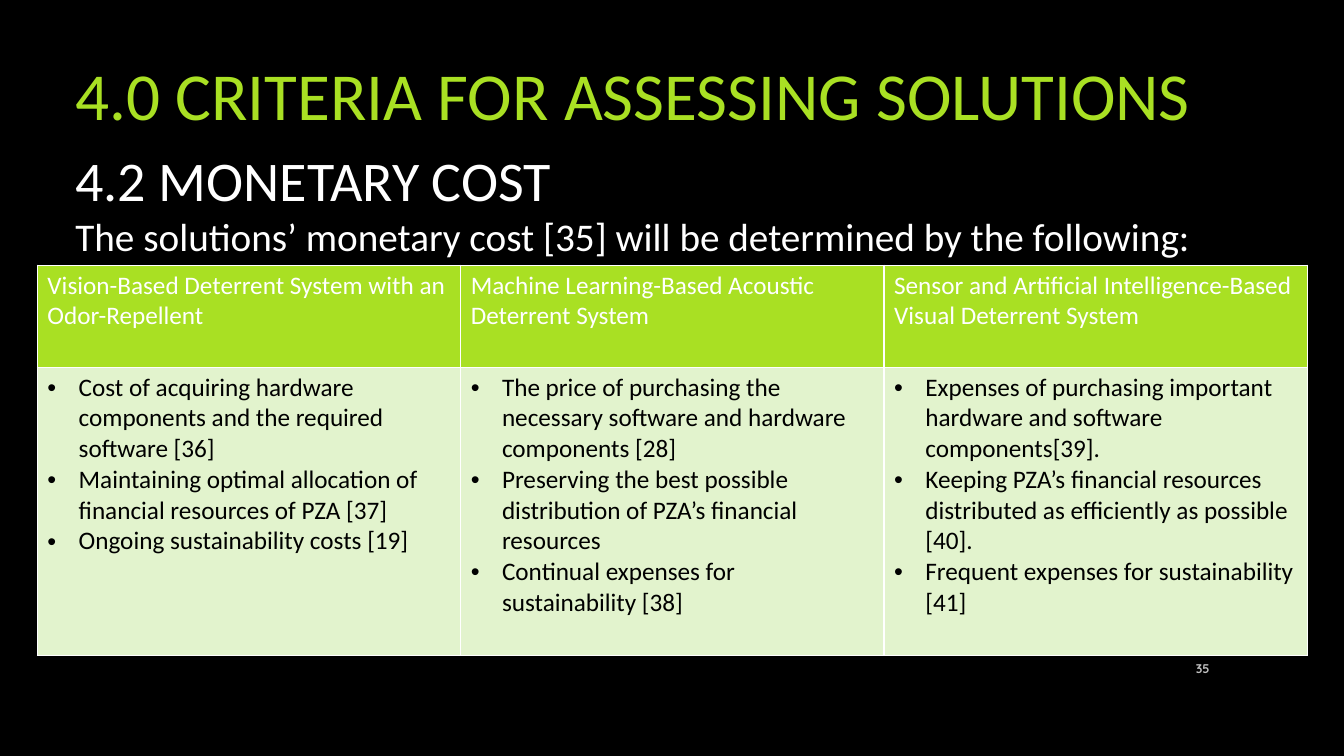
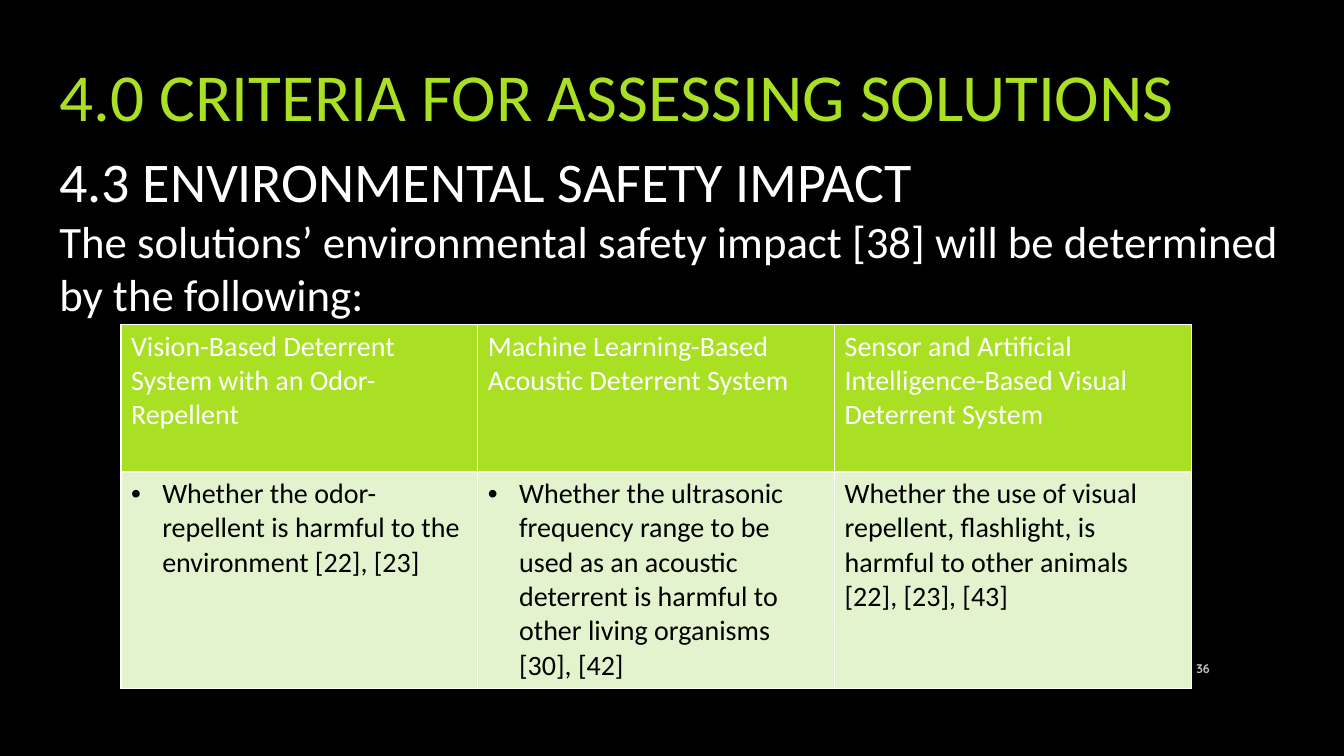
"""Build two slides that set out the cost and safety criteria in tables."""
from lxml import etree
from pptx import Presentation
from pptx.dml.color import RGBColor
from pptx.enum.text import MSO_ANCHOR, MSO_AUTO_SIZE, PP_ALIGN
from pptx.oxml.ns import qn
from pptx.util import Inches, Pt

MID = MSO_ANCHOR.MIDDLE
LEFT, RIGHT = PP_ALIGN.LEFT, PP_ALIGN.RIGHT
FIXED = MSO_AUTO_SIZE.NONE
LIME, PALE, WHITE, BLACK, GREY = "A9E023", "E2F3CD", "FFFFFF", "000000", "BFBFBF"
FONT = "Calibri"
TITLE = "4.0 CRITERIA FOR ASSESSING SOLUTIONS"
HEADS = [
    "Vision-Based Deterrent System with an Odor-Repellent",
    "Machine Learning-Based Acoustic Deterrent System",
    "Sensor and Artificial Intelligence-Based Visual Deterrent System",
]
PAGES = [
    {
        "num": 35, "left": 4.87, "top": 2, "lead": (18.53, 86.48, 16.67),
        "head": "4.2 MONETARY COST", "size": 28,
        "text": "The solutions’ monetary cost [35] will be determined by the following:",
        "grid": (2.78, 35.07, 94.5), "rows": (13.5, 38.1), "font": 18,
        "plain": [],
        "cells": [
            ["Cost of acquiring hardware components and the required software [36]",
             "Maintaining optimal allocation of financial resources of PZA [37]",
             "Ongoing sustainability costs [19]"],
            ["The price of purchasing the necessary software and hardware components [28]",
             "Preserving the best possible distribution of PZA’s financial resources",
             "Continual expenses for sustainability [38]"],
            ["Expenses of purchasing important hardware and software components[39].",
             "Keeping PZA’s financial resources distributed as efficiently as possible [40].",
             "Frequent expenses for sustainability [41]"],
        ],
    },
    {
        "num": 36, "left": 3.67, "top": 2.13, "lead": (18.67, 92.63, 24.67),
        "head": "4.3 ENVIRONMENTAL SAFETY IMPACT", "size": 32,
        "text": "The solutions’ environmental safety impact [38] will be determined "
                "by the following:",
        "grid": (9, 42.93, 79.65), "rows": (19.5, 28.6), "font": 20,
        "plain": [2],
        "cells": [
            ["Whether the odor-repellent is harmful to the environment [22], [23]"],
            ["Whether the ultrasonic frequency range to be used as an acoustic deterrent "
             "is harmful to other living organisms [30], [42]"],
            ["Whether the use of visual repellent, flashlight, is harmful to other "
             "animals [22], [23], [43]"],
        ],
    },
]


def rgb(code):
    """Turn a hex string into a colour."""
    return RGBColor.from_string(code)


def write(para, text, size, color, face=FONT, bold=False):
    """Fill a paragraph and set its font."""
    para.text = text
    font = para.font
    font.name, font.size, font.bold = face, Pt(size), bold
    font.color.rgb = rgb(color)


deck = Presentation()
deck.slide_width, deck.slide_height = Inches(13.33), Inches(7.5)
COL, ROW = deck.slide_width / 100, deck.slide_height / 100
back = deck.slide_master.background.fill
back.solid()
back.fore_color.rgb = rgb(BLACK)

for page in PAGES:
    slide = deck.slides.add_slide(deck.slide_layouts[5])
    shapes = slide.shapes

    title = shapes.title
    title.left, title.top = int(page["left"] * COL), int(page["top"] * ROW)
    title.width, title.height = int(85.88 * COL), int(20.8 * ROW)
    frame = title.text_frame
    frame.auto_size, frame.vertical_anchor = FIXED, MID
    write(frame.paragraphs[0], TITLE, 48, LIME)
    frame.paragraphs[0].alignment = LEFT

    top, wide, high = page["lead"]
    lead = shapes.add_textbox(int(page["left"] * COL), int(top * ROW),
                              int(wide * COL), int(high * ROW)).text_frame
    lead.word_wrap = True
    write(lead.paragraphs[0], page["head"], 40, WHITE)
    write(lead.add_paragraph(), page["text"], page["size"], WHITE)

    left, top, wide = page["grid"]
    table = shapes.add_table(2, 3, int(left * COL), int(top * ROW),
                             int(wide * COL), int(sum(page["rows"]) * ROW)).table
    table.first_row = table.horz_banding = False
    for row, high in zip(table.rows, page["rows"]):
        row.height = int(high * ROW)

    bodies = [[[head] for head in HEADS], page["cells"]]
    for r, (body, fill, ink) in enumerate(zip(bodies, (LIME, PALE), (WHITE, BLACK))):
        for c, lines in enumerate(body):
            cell = table.cell(r, c)
            props = cell._tc.get_or_add_tcPr()
            for side in ("lnL", "lnR", "lnT", "lnB"):
                edge = etree.SubElement(props, qn("a:" + side), w=str(Pt(1)))
                solid = etree.SubElement(edge, qn("a:solidFill"))
                etree.SubElement(solid, qn("a:srgbClr"), val=WHITE)
            cell.fill.solid()
            cell.fill.fore_color.rgb = rgb(fill)
            frame = cell.text_frame
            for i, line in enumerate(lines):
                para = frame.add_paragraph() if i else frame.paragraphs[0]
                if r and c not in page["plain"]:
                    props = para._p.get_or_add_pPr()
                    props.set("marL", str(Inches(0.31)))
                    props.set("indent", str(-Inches(0.31)))
                    etree.SubElement(props, qn("a:buFont"), typeface="Arial")
                    etree.SubElement(props, qn("a:buChar"), char="•")
                write(para, line, page["font"], ink)

    foot = shapes.add_textbox(int(86.25 * COL), int(85.73 * ROW),
                              int(4.5 * COL), int(5.33 * ROW)).text_frame
    foot.word_wrap, foot.vertical_anchor = True, MID
    write(foot.paragraphs[0], str(page["num"]), 9, GREY, "Quicksand", True)
    foot.paragraphs[0].alignment = RIGHT

deck.save("out.pptx")
